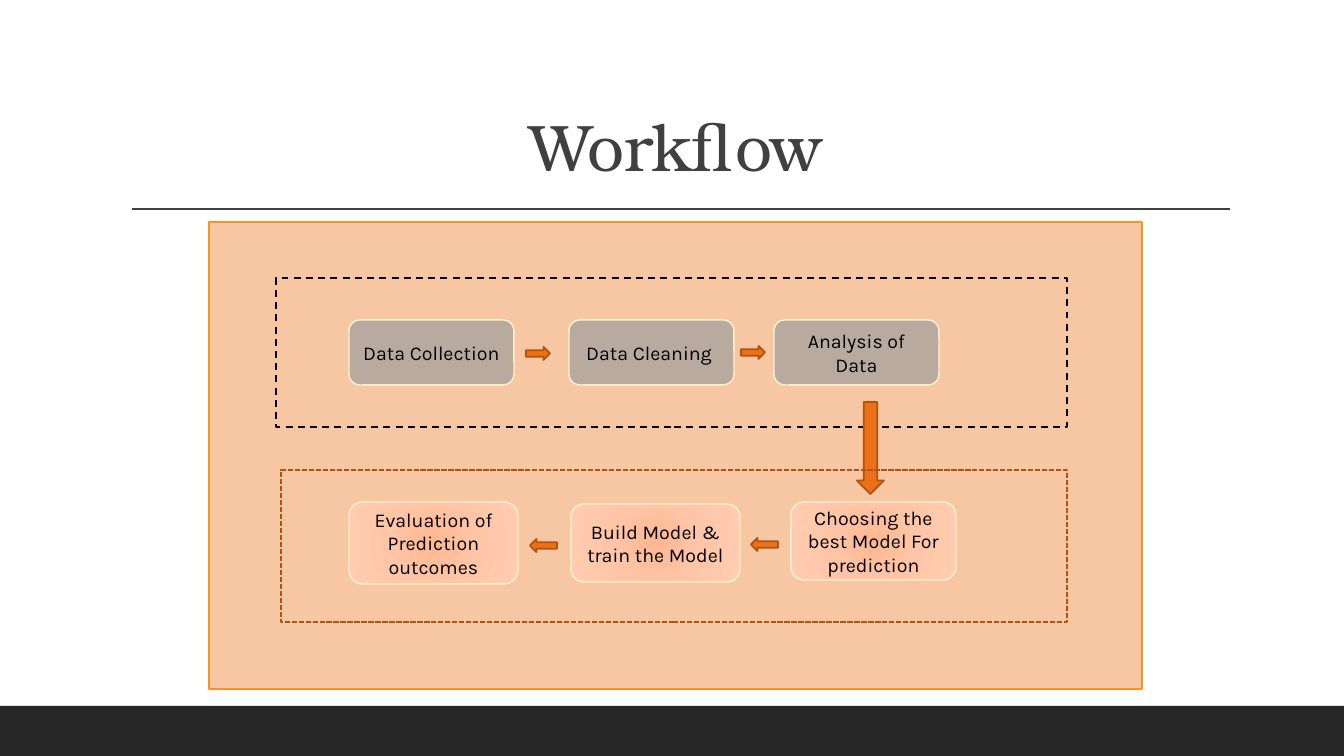
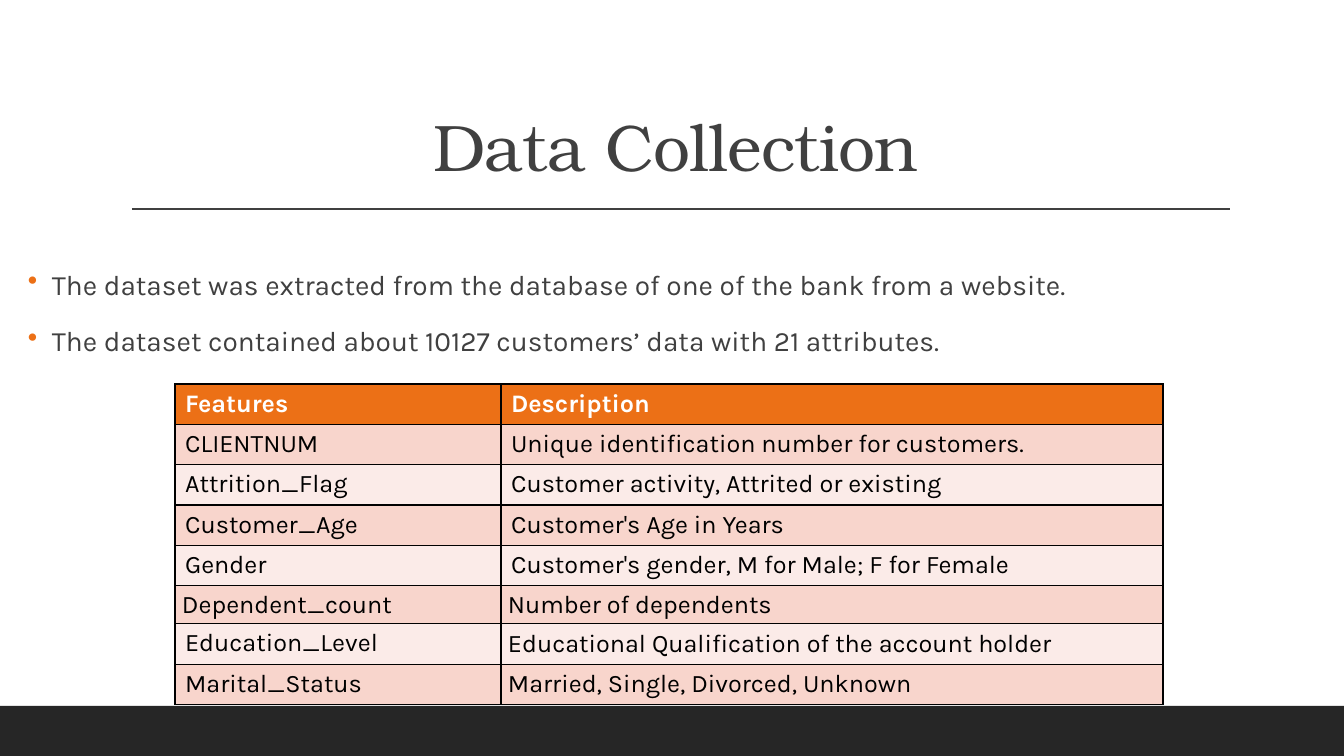
from lxml import etree
from pptx import Presentation
from pptx.dml.color import RGBColor
from pptx.enum import dml, shapes, text
from pptx.oxml import parse_xml
from pptx.oxml.ns import nsdecls, qn
from pptx.util import Emu, Pt

# ---- Shared style ----
C = {
    "ink": "404040", "black": "000000", "white": "FFFFFF", "band": "262626",
    "panel": "F7C6A2", "panel_line": "F8931D", "orange": "EC7016",
    "rust": "AF5310", "taupe": "B9AAA0", "cream": "FFF4CE",
    "row_dark": "F8D5CC", "row_light": "FBEBE8",
}
PEACH = [(0, "FEB790"), (45, "FFC5A6"), (100, "FFCCB1")]
HEAD, BODY = "TeX Gyre Bonum", "Karla"
SHAPE = shapes.MSO_SHAPE
DASH = dml.MSO_LINE
CENTER = text.PP_ALIGN.CENTER
MIDDLE = text.MSO_ANCHOR.MIDDLE
TITLE_ONLY = 5

SLIDE = (1344, 756)
TITLE_BOX = (121, 31, 1109, 160)
BAND = (0, 706, 1344, 50)
RULE = (132, 209, 1230, 209)

# ---- Workflow content (left, top, width, height in px) ----
PANEL = (209, 222, 933, 467)
DATA_FRAME = (276, 278, 791, 149)
MODEL_FRAME = (281, 470, 786, 152)
DATA_STEPS = [
    ("Data Collection", (349, 320, 165, 65)),
    ("Data Cleaning ", (569, 320, 165, 65)),
    ("Analysis of Data", (774, 320, 165, 65)),
]
MODEL_STEPS = [
    ("Choosing the best Model For prediction", (791, 502, 165, 78)),
    ("Build Model & train the Model", (571, 504, 169, 78)),
    ("Evaluation of Prediction outcomes", (349, 502, 169, 82)),
]
ARROWS = [
    (SHAPE.RIGHT_ARROW, (526, 347, 24, 13)),
    (SHAPE.RIGHT_ARROW, (741, 346, 24, 13)),
    (SHAPE.DOWN_ARROW, (857, 402, 27, 92)),
    (SHAPE.LEFT_ARROW, (530, 539, 27, 13)),
    (SHAPE.LEFT_ARROW, (751, 538, 27, 13)),
]

# ---- Data Collection content ----
BULLETS = [
    "The dataset was extracted from the database of one of the bank from a website.",
    "The dataset contained about 10127 customers’ data with 21 attributes.",
]
BULLET_BOX = (28, 259, 1275, 110)
BULLET_INDENT = 24
FEATURES = [
    ("Features", "Description"),
    ("CLIENTNUM", "Unique identification number for customers."),
    ("Attrition_Flag", "Customer activity, Attrited or existing"),
    ("Customer_Age", "Customer's Age in Years"),
    ("Gender", "Customer's gender, M for Male; F for Female"),
    ("Dependent_count", "Number of dependents"),
    ("Education_Level", "Educational Qualification of the account holder"),
    ("Marital_Status", "Married, Single, Divorced, Unknown"),
]
TABLE_AT = (175, 384)
COL_WIDTHS = (326, 662)
ROW_HEIGHTS = (39, 40, 40, 39, 40, 38, 40, 40)
TIGHT_CELLS = {(5, 0), (5, 1), (6, 1), (7, 1)}


# ---- Helpers ----
def px(n):
    return Emu(round(n * 914400 / 100.8))


def place(box):
    return [px(n) for n in box]


def rgb(name):
    return RGBColor.from_string(C[name])


def add_run(p, words, size, color, font=BODY, bold=False):
    r = p.add_run()
    r.text = words
    r.font.size, r.font.name, r.font.bold = Pt(size), font, bold
    r.font.color.rgb = rgb(color)
    return r


def add_box(s, kind, box, fill=None, line=None, width=1.25, dash=None):
    sp = s.shapes.add_shape(kind, *place(box))
    sp.shadow.inherit = False
    if fill:
        sp.fill.solid()
        sp.fill.fore_color.rgb = rgb(fill)
    else:
        sp.fill.background()
    if line:
        sp.line.color.rgb = rgb(line)
        sp.line.width = Pt(width)
        if dash:
            sp.line.dash_style = dash
    else:
        sp.line.fill.background()
    return sp


def add_step(s, words, box, fill=None):
    sp = add_box(s, SHAPE.ROUNDED_RECTANGLE, box, fill, "cream", 1)
    tf = sp.text_frame
    tf.word_wrap, tf.vertical_anchor = True, MIDDLE
    p = tf.paragraphs[0]
    p.alignment = CENTER
    add_run(p, words, 14, "black")
    return sp


def fill_radial(sp, stops):
    gs = "".join(f'<a:gs pos="{pos * 1000}"><a:srgbClr val="{color}"/></a:gs>'
                 for pos, color in stops)
    grad = parse_xml(
        f'<a:gradFill {nsdecls("a")} rotWithShape="1"><a:gsLst>{gs}</a:gsLst>'
        '<a:path path="circle"><a:fillToRect l="100000" t="100000" '
        'r="100000" b="100000"/></a:path></a:gradFill>')
    spPr = sp._element.spPr
    spPr.replace(spPr.find(qn("a:noFill")), grad)


def add_bullet(p):
    pPr = p._p.get_or_add_pPr()
    pPr.set("marL", str(px(BULLET_INDENT)))
    pPr.set("indent", str(-px(BULLET_INDENT)))
    color = etree.SubElement(pPr, qn("a:buClr"))
    etree.SubElement(color, qn("a:srgbClr"), val=C["orange"])
    etree.SubElement(pPr, qn("a:buChar"), char="•")


def add_borders(cell):
    tcPr = cell._tc.get_or_add_tcPr()
    for side in ("lnL", "lnR", "lnT", "lnB"):
        ln = etree.SubElement(tcPr, qn(f"a:{side}"), w=str(Pt(1)))
        solid = etree.SubElement(ln, qn("a:solidFill"))
        etree.SubElement(solid, qn("a:srgbClr"), val=C["black"])


def decorate_layout(layout, s):
    """Draw the band and rule on a slide, then move them to its layout."""
    band = add_box(s, SHAPE.RECTANGLE, BAND, "band")
    rule = s.shapes.add_connector(shapes.MSO_CONNECTOR.STRAIGHT, *place(RULE))
    rule.line.color.rgb = rgb("ink")
    rule.line.width = Pt(1)
    etree.SubElement(rule._element.spPr, qn("a:effectLst"))
    for sp in (band, rule):
        layout.shapes._spTree.append(sp._element)


def add_slide(prs, title):
    s = prs.slides.add_slide(prs.slide_layouts[TITLE_ONLY])
    sp = s.shapes.title
    sp.left, sp.top, sp.width, sp.height = place(TITLE_BOX)
    tf = sp.text_frame
    tf.word_wrap, tf.auto_size = True, text.MSO_AUTO_SIZE.NONE
    tf.vertical_anchor = text.MSO_ANCHOR.BOTTOM
    p = tf.paragraphs[0]
    p.alignment, p.line_spacing = CENTER, 0.9
    r = add_run(p, title, 47, "ink", HEAD)
    r._r.get_or_add_rPr().set("spc", "-50")
    return s


# ---- Slides ----
def fill_workflow(s):
    add_box(s, SHAPE.RECTANGLE, PANEL, "panel", "panel_line")
    add_box(s, SHAPE.RECTANGLE, DATA_FRAME, line="black", dash=DASH.DASH)
    for words, box in DATA_STEPS:
        add_step(s, words, box, "taupe")
    for words, box in MODEL_STEPS:
        fill_radial(add_step(s, words, box), PEACH)
    for kind, box in ARROWS:
        add_box(s, kind, box, "orange", "rust")
    add_box(s, SHAPE.RECTANGLE, MODEL_FRAME, line="rust",
            dash=DASH.SQUARE_DOT)


def fill_data_collection(s):
    # Bullets
    tf = s.shapes.add_textbox(*place(BULLET_BOX)).text_frame
    tf.word_wrap = True
    tf.margin_left = tf.margin_right = 0
    for i, words in enumerate(BULLETS):
        p = tf.add_paragraph() if i else tf.paragraphs[0]
        p.line_spacing, p.space_after = 1.1, Pt(14)
        add_bullet(p)
        add_run(p, words, 20, "ink")

    # Feature table
    size = (sum(COL_WIDTHS), sum(ROW_HEIGHTS))
    table = s.shapes.add_table(len(FEATURES), len(COL_WIDTHS),
                               *place(TABLE_AT + size)).table
    table.horz_banding = False
    for col, width in zip(table.columns, COL_WIDTHS):
        col.width = px(width)
    for i, (row, height) in enumerate(zip(table.rows, ROW_HEIGHTS)):
        row.height = px(height)
        header = i == 0
        fill = "orange" if header else "row_dark" if i % 2 else "row_light"
        for j, cell in enumerate(row.cells):
            add_borders(cell)
            cell.fill.solid()
            cell.fill.fore_color.rgb = rgb(fill)
            if (i, j) in TIGHT_CELLS:
                cell.margin_left = cell.margin_right = px(7)
                cell.margin_top = cell.margin_bottom = px(3)
                cell.vertical_anchor = MIDDLE
            add_run(cell.text_frame.paragraphs[0], FEATURES[i][j], 18,
                    "white" if header else "black", bold=header)


def main():
    prs = Presentation()
    prs.slide_width, prs.slide_height = place(SLIDE)
    workflow = add_slide(prs, "Workflow")
    decorate_layout(prs.slide_layouts[TITLE_ONLY], workflow)
    fill_workflow(workflow)
    fill_data_collection(add_slide(prs, "Data Collection"))
    prs.save("out.pptx")


if __name__ == "__main__":
    main()
